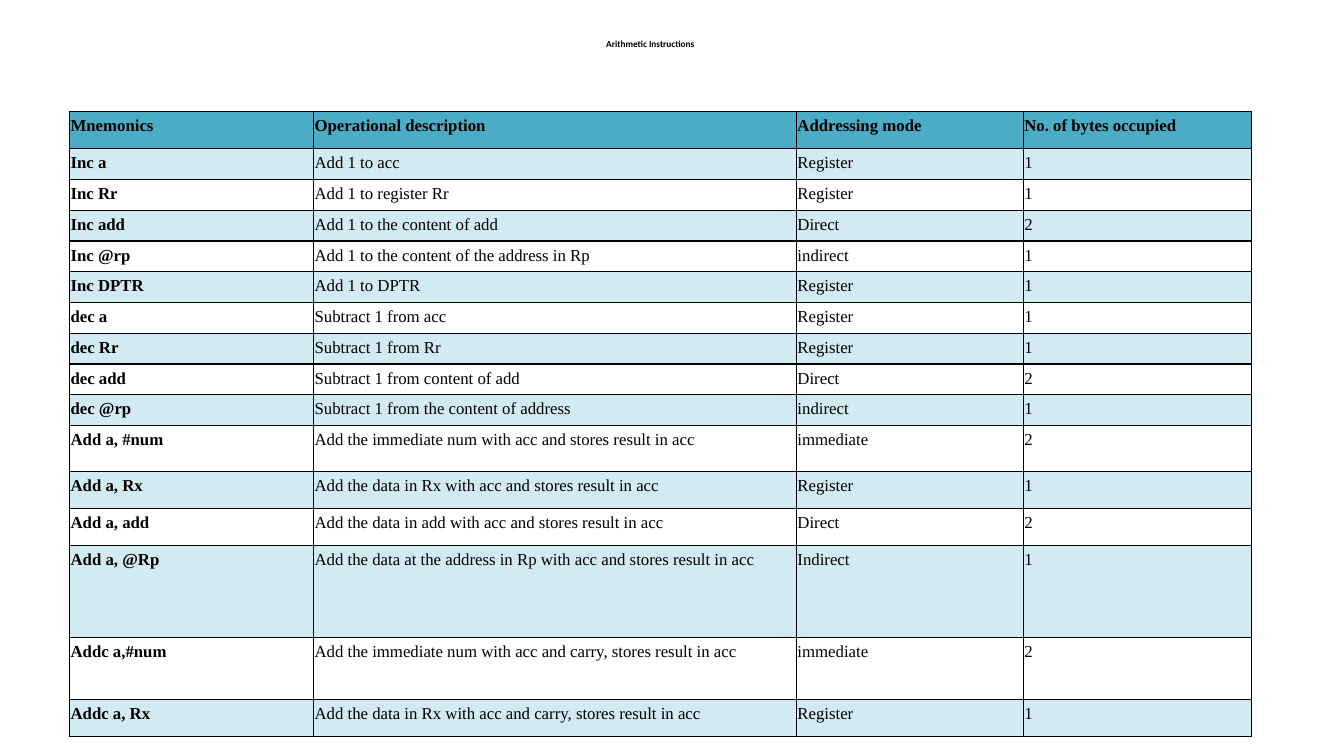
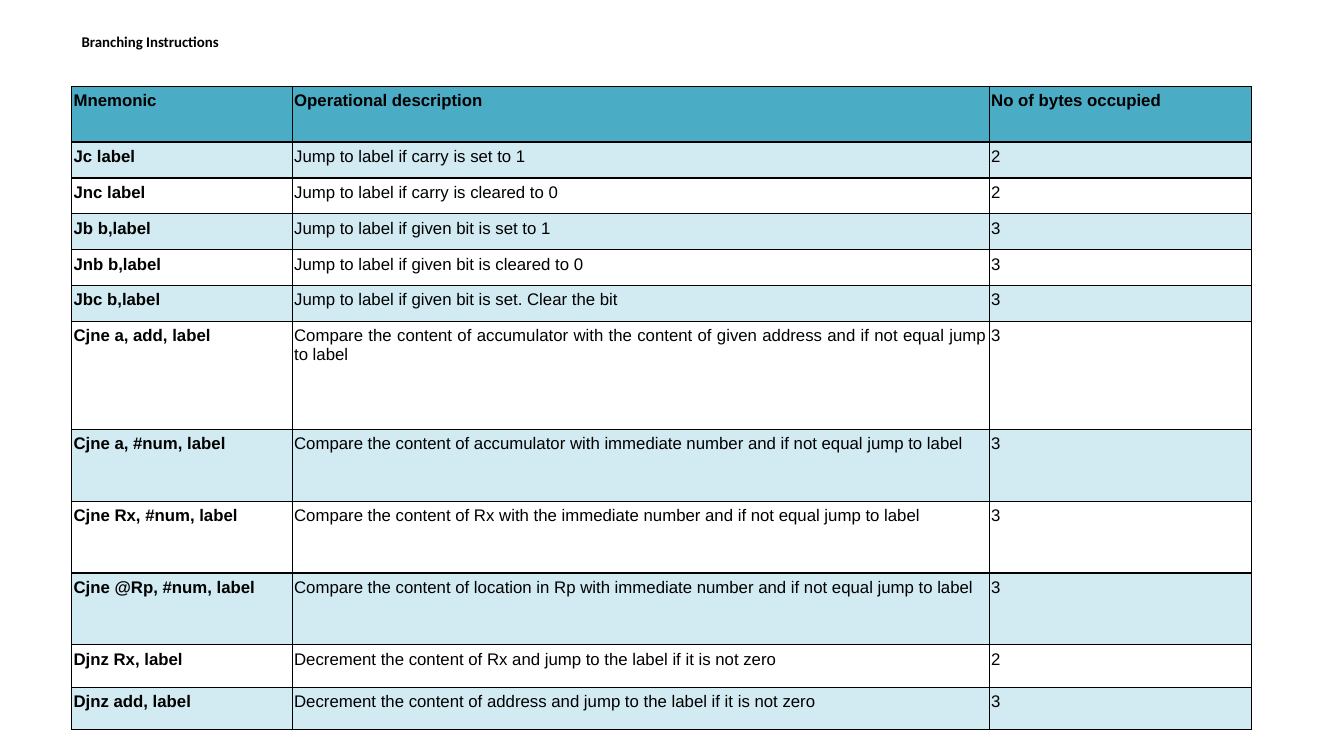
import pptx
import pptx.dml.color
import pptx.enum.text
import pptx.oxml
import pptx.oxml.ns
import pptx.util
from dataclasses import dataclass

Inches = pptx.util.Inches
Pt = pptx.util.Pt
Align = pptx.enum.text.PP_ALIGN


@dataclass(frozen=True)
class Theme:
    ink: str = "000000"
    header_fill: str = "4BACC6"
    band_fill: str = "D2EAF1"
    title_font: str = "Calibri"
    title_spacing: float = 0.9
    cell_size: float = 12
    border_width: float = 0.96


THEME = Theme()

ARITHMETIC_ROWS = [
    ("Mnemonics", "Operational description", "Addressing mode", "No. of bytes occupied"),
    ("Inc a", "Add 1 to acc", "Register", "1"),
    ("Inc Rr", "Add 1 to register Rr", "Register", "1"),
    ("Inc add", "Add 1 to the content of add", "Direct", "2"),
    ("Inc @rp", "Add 1 to the content of the address in Rp", "indirect", "1"),
    ("Inc DPTR", "Add 1 to DPTR", "Register", "1"),
    ("dec a", "Subtract 1 from acc", "Register", "1"),
    ("dec Rr", "Subtract 1 from Rr", "Register", "1"),
    ("dec add", "Subtract 1 from content of add", "Direct", "2"),
    ("dec @rp", "Subtract 1 from the content of address", "indirect", "1"),
    ("Add a, #num", "Add the immediate num with acc and stores result in acc", "immediate", "2"),
    ("Add a, Rx", "Add the data in Rx with acc and stores result in acc", "Register", "1"),
    ("Add a, add", "Add the data in add with acc and stores result in acc", "Direct", "2"),
    ("Add a, @Rp", "Add the data at the address in Rp with acc and stores result in acc", "Indirect", "1"),
    ("Addc a,#num", "Add the immediate num with acc and carry, stores result in acc", "immediate", "2"),
    ("Addc a, Rx", "Add the data in Rx with acc and carry, stores result in acc", "Register", "1"),
]

BRANCHING_ROWS = [
    ("Mnemonic", "Operational description", "No of bytes occupied"),
    ("Jc label", "Jump to label if carry is set to 1", "2"),
    ("Jnc label", "Jump to label if carry is cleared to 0", "2"),
    ("Jb b,label", "Jump to label if given bit is set to 1", "3"),
    ("Jnb b,label", "Jump to label if given bit is cleared to 0", "3"),
    ("Jbc b,label", "Jump to label if given bit is set. Clear the bit", "3"),
    ("Cjne a, add, label",
     "Compare the content of accumulator with the content of given address and if not equal jump to label", "3"),
    ("Cjne a, #num, label",
     "Compare the content of accumulator with immediate number and if not equal jump to label", "3"),
    ("Cjne Rx, #num, label",
     "Compare the content of Rx with the immediate number and if not equal jump to label", "3"),
    ("Cjne @Rp, #num, label",
     "Compare the content of location in Rp with immediate number and if not equal jump to label", "3"),
    ("Djnz Rx, label", "Decrement the content of Rx and jump to the label if it is not zero", "2"),
    ("Djnz add, label", "Decrement the content of address and jump to the label if it is not zero", "3"),
]

# Boxes are left, top, width, height in inches; columns and lines are relative sizes.
SLIDES = [
    dict(title="Arithmetic Instructions", title_box=(0.48, 0.1, 11.94, 0.85),
         title_size=6.6, title_align=Align.CENTER, title_bottom=0.22,
         table_box=(0.69, 1.11, 11.72, 6.2), font="Times New Roman", side_margin=0.01,
         columns=[2.42, 4.79, 2.25, 2.26],
         lines=[1.2] + [1] * 9 + [1.5, 1.2, 1.2, 3, 2, 1.2], rows=ARITHMETIC_ROWS),
    dict(title="Branching Instructions", title_box=(0.71, 0.1, 11.7, 0.77),
         title_size=10.6, title_align=Align.LEFT, title_bottom=0.18,
         table_box=(0.71, 0.86, 11.7, 6.38), font="Arial", side_margin=0.02,
         columns=[2.19, 6.92, 2.6],
         lines=[1.54] + [1] * 5 + [3, 2, 2, 2, 1.18, 1.18], rows=BRANCHING_ROWS),
]


def shares(total, weights):
    """Split a length in proportion to the weights."""
    return [Inches(total * weight / sum(weights)) for weight in weights]


def write(paragraph, text, font, size, bold):
    run = paragraph.add_run()
    run.text = text
    run.font.name = font
    run.font.size = Pt(size)
    run.font.bold = bold
    run.font.color.rgb = pptx.dml.color.RGBColor.from_string(THEME.ink)


def add_title(slide, content):
    title = slide.shapes.title
    title.left, title.top, title.width, title.height = map(Inches, content["title_box"])
    frame = title.text_frame
    frame.word_wrap = True
    frame.auto_size = pptx.enum.text.MSO_AUTO_SIZE.NONE
    frame.vertical_anchor = pptx.enum.text.MSO_ANCHOR.MIDDLE
    frame.margin_left = frame.margin_right = Inches(0.1)
    frame.margin_top = Inches(0.05)
    frame.margin_bottom = Inches(content["title_bottom"])
    paragraph = frame.paragraphs[0]
    paragraph.alignment = content["title_align"]
    paragraph.line_spacing = THEME.title_spacing
    write(paragraph, content["title"], THEME.title_font, content["title_size"], True)


def add_borders(cell):
    properties = cell._tc.get_or_add_tcPr()
    for side in ("lnL", "lnR", "lnT", "lnB"):
        properties.append(pptx.oxml.parse_xml(
            f'<a:{side} {pptx.oxml.ns.nsdecls("a")} w="{Pt(THEME.border_width)}">'
            f'<a:solidFill><a:srgbClr val="{THEME.ink}"/></a:solidFill></a:{side}>'))


def format_cell(cell, row_index):
    add_borders(cell)
    if row_index and row_index % 2 == 0:
        cell.fill.background()
        return
    cell.fill.solid()
    color = THEME.band_fill if row_index else THEME.header_fill
    cell.fill.fore_color.rgb = pptx.dml.color.RGBColor.from_string(color)


def add_instruction_table(slide, content):
    left, top, width, height = content["table_box"]
    rows, columns = content["rows"], content["columns"]
    table = slide.shapes.add_table(
        len(rows), len(columns), *map(Inches, content["table_box"])).table
    table.horz_banding = False
    for column, column_width in zip(table.columns, shares(width, columns)):
        column.width = column_width
    for row, row_height in zip(table.rows, shares(height, content["lines"])):
        row.height = row_height
    for row_index, texts in enumerate(rows):
        for column_index, text in enumerate(texts):
            cell = table.cell(row_index, column_index)
            cell.margin_left = cell.margin_right = Inches(content["side_margin"])
            cell.margin_top = cell.margin_bottom = Inches(0.05)
            format_cell(cell, row_index)
            paragraph = cell.text_frame.paragraphs[0]
            paragraph.alignment = Align.JUSTIFY
            bold = row_index == 0 or column_index == 0
            write(paragraph, text, content["font"], THEME.cell_size, bold)


def main():
    presentation = pptx.Presentation()
    presentation.slide_width = Inches(13.33)
    presentation.slide_height = Inches(7.5)
    title_only = presentation.slide_layouts.get_by_name("Title Only")
    for content in SLIDES:
        slide = presentation.slides.add_slide(title_only)
        add_title(slide, content)
        add_instruction_table(slide, content)
    presentation.save("out.pptx")


if __name__ == "__main__":
    main()
